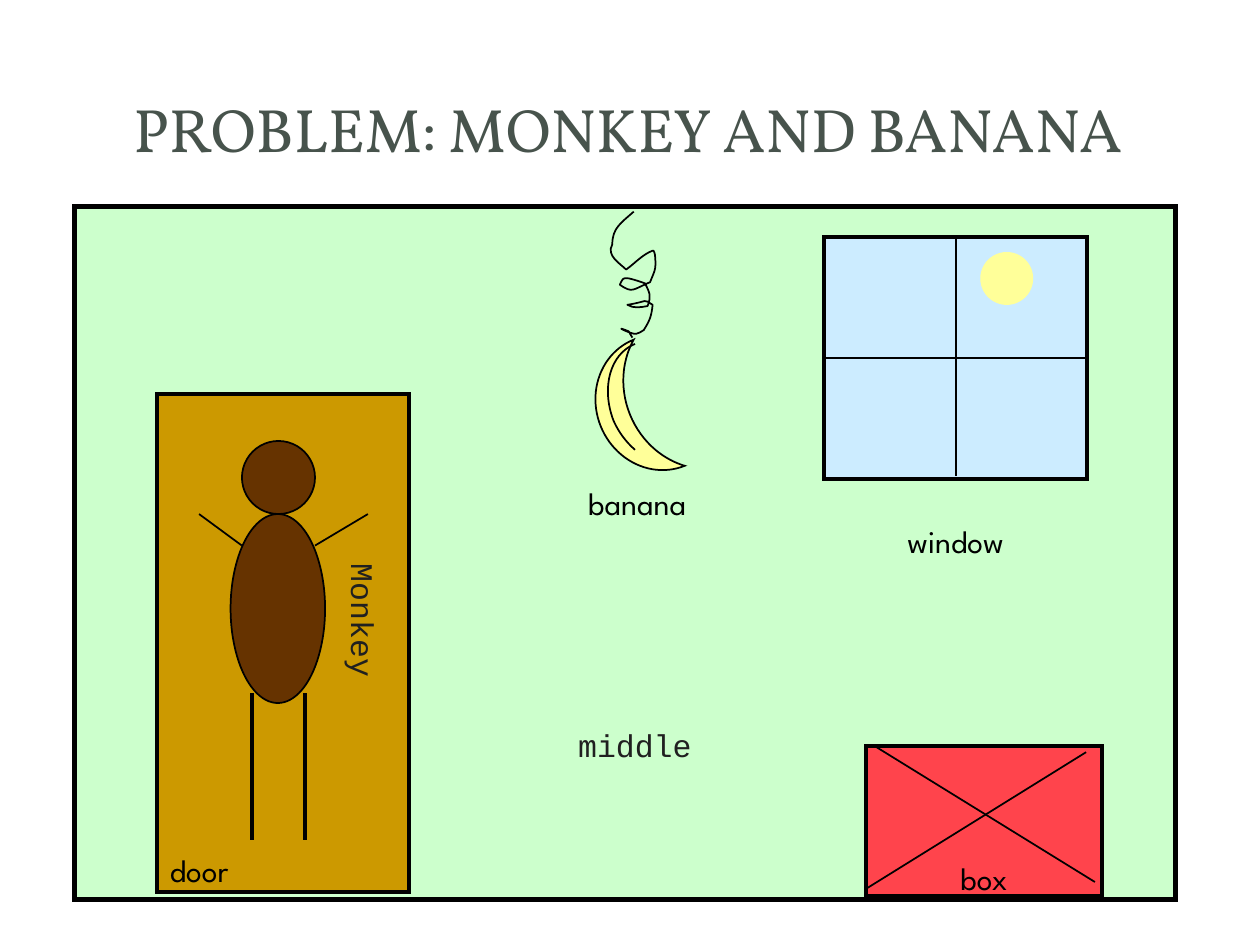
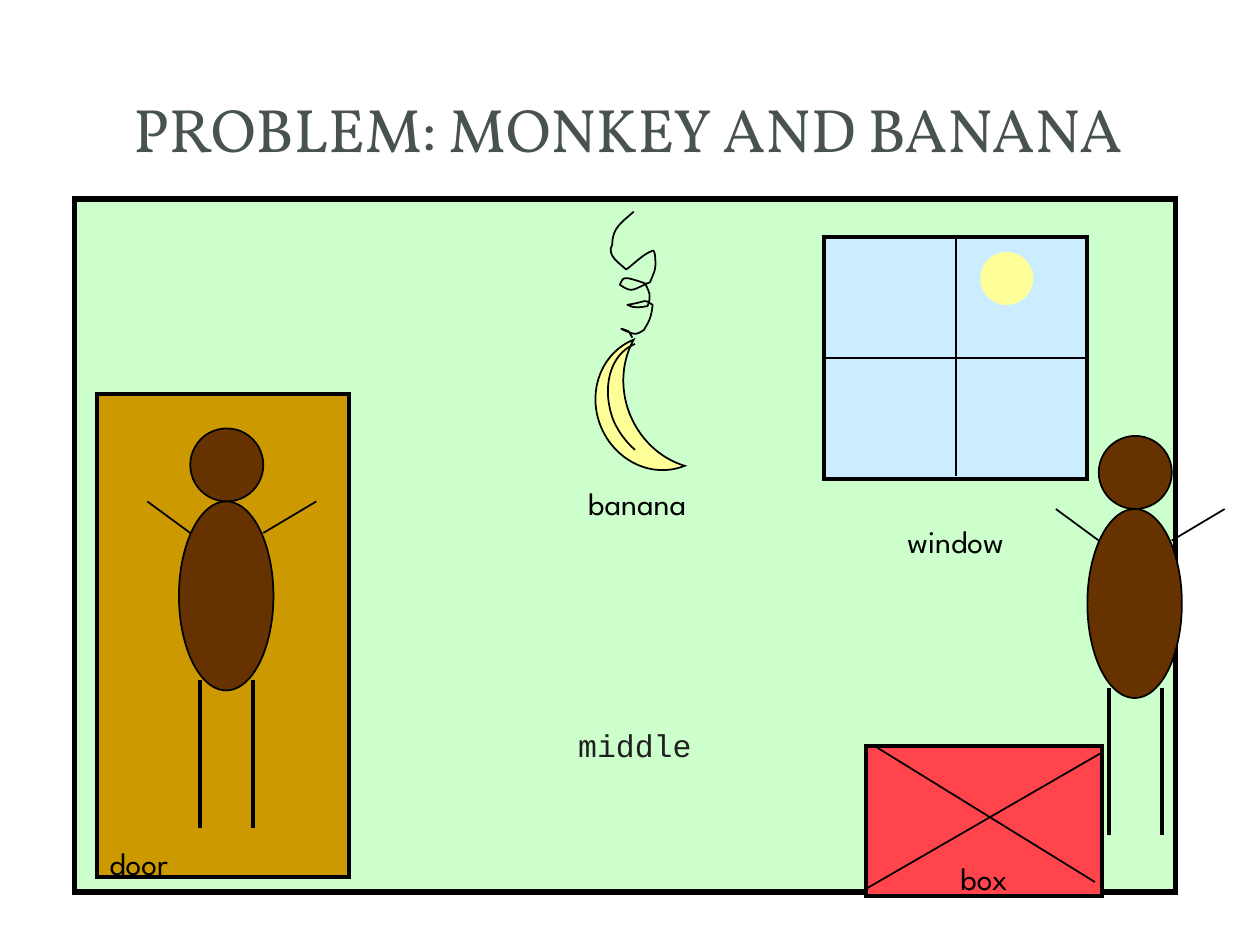
from collections import namedtuple

from lxml import etree
from pptx import Presentation
from pptx.dml.color import RGBColor
from pptx.enum import shapes, text
from pptx.oxml import ns
from pptx.util import Inches, Pt

Box = namedtuple("Box", "left top width height")
Shape = shapes.MSO_SHAPE
Align = text.PP_ALIGN
Anchor = text.MSO_ANCHOR


class Theme:
    title = "47534C"
    ink = "000000"
    soft_ink = "202020"
    paper = "FFFFFF"
    wall = "CCFFCC"
    sky = "CCECFF"
    yellow = "FFFF99"
    crate = "FF444C"
    wood = "CC9900"
    fur = "663300"
    title_font = "Vollkorn"
    label_font = "League Spartan"
    code_font = "Courier New"
    title_size = 35
    label_size = 18
    thin, medium, thick = 1, 2.25, 3


LABEL_LINE = 0.3

STRING_START = (0.46, 0)
STRING_CURVES = [
    (0.36, 0.09, 0.29, 0.13, 0.29, 0.26),
    (0.24, 0.35, 0.35, 0.41, 0.40, 0.46),
    (0.47, 0.41, 0.53, 0.34, 0.61, 0.31),
    (0.62, 0.30, 0.63, 0.34, 0.63, 0.36),
    (0.64, 0.47, 0.62, 0.48, 0.59, 0.56),
    (0.45, 0.62, 0.45, 0.65, 0.35, 0.58),
    (0.37, 0.54, 0.37, 0.52, 0.42, 0.53),
    (0.47, 0.54, 0.55, 0.57, 0.55, 0.57),
    (0.59, 0.65, 0.60, 0.67, 0.57, 0.75),
    (0.51, 0.76, 0.46, 0.77, 0.41, 0.74),
    (0.59, 0.71, 0.53, 0.69, 0.61, 0.74),
    (0.60, 0.83, 0.59, 0.86, 0.54, 0.94),
    (0.52, 0.95, 0.50, 0.97, 0.48, 0.97),
    (0.45, 0.98, 0.27, 0.89, 0.42, 0.95),
    (0.43, 0.97, 0.45, 1.00, 0.45, 1.00),
]
RIDGE_START = (0.47, 1.05)
RIDGE_CURVES = [
    (0.27, 1.13, 0.20, 1.40, 0.30, 1.66),
    (0.34, 1.75, 0.40, 1.83, 0.47, 1.89),
]


def color(value):
    return RGBColor.from_string(value)


def inside(box, left, top, width, height):
    return Box(box.left + left, box.top + top, width, height)


def add_figure(canvas, kind, box, fill, weight=None):
    figure = canvas.add_shape(kind, *map(Inches, box))
    figure.shadow.inherit = False
    figure.fill.solid()
    figure.fill.fore_color.rgb = color(fill)
    if weight:
        figure.line.color.rgb = color(Theme.ink)
        figure.line.width = Pt(weight)
        outline = figure._element.spPr.find(ns.qn("a:ln"))
        etree.SubElement(outline, ns.qn("a:miter"), lim="800000")
    else:
        figure.line.fill.background()
    return figure


def add_line(canvas, box, start, end, weight=Theme.thin):
    points = [box.left + start[0], box.top + start[1],
              box.left + end[0], box.top + end[1]]
    line = canvas.add_connector(shapes.MSO_CONNECTOR.STRAIGHT, *map(Inches, points))
    line.line.color.rgb = color(Theme.ink)
    line.line.width = Pt(weight)
    etree.SubElement(line._element.spPr, ns.qn("a:effectLst"))
    return line


def add_curve(canvas, box, start, curves):
    def place(x, y):
        return Inches(box.left + x), Inches(box.top + y)

    builder = canvas.build_freeform(*place(*start), scale=1.0)
    builder.add_line_segments([place(*bend[4:]) for bend in curves], close=False)
    curve = builder.convert_to_shape()
    segments = list(curve._element.iter(ns.qn("a:lnTo")))
    for segment, bend in zip(segments, curves):
        segment.tag = ns.qn("a:cubicBezTo")
        for index, control in enumerate((bend[:2], bend[2:4])):
            x, y = place(*control)
            point = etree.Element(ns.qn("a:pt"), x=str(x - curve.left), y=str(y - curve.top))
            segment.insert(index, point)
    curve.shadow.inherit = False
    curve.fill.background()
    curve.line.color.rgb = color(Theme.ink)
    curve.line.width = Pt(Theme.thin)


def write(frame, words, font=Theme.label_font, size=Theme.label_size,
          ink=Theme.ink, align=Align.LEFT, anchor=Anchor.TOP, wrap=True):
    frame.word_wrap = wrap
    frame.vertical_anchor = anchor
    para = frame.paragraphs[0]
    para.text = words
    para.alignment = align
    para.font.name = font
    para.font.size = Pt(size)
    para.font.color.rgb = color(ink)


def add_text(canvas, box, words, **style):
    label = canvas.add_textbox(*map(Inches, box))
    write(label.text_frame, words, **style)
    return label


def label_below_middle(figure, box, words, lines, align):
    frame = figure.text_frame
    write(frame, words, align=align)
    frame.margin_top = Inches(box.height / 2 + lines * LABEL_LINE)
    frame.margin_bottom = 0


def draw_backdrop(page):
    card = add_figure(page.shapes, Shape.ROUNDED_RECTANGLE,
                      Box(0.1, 0.11, 9.8, 7.29), Theme.paper)
    card.adjustments[0] = 0.02
    band = add_figure(page.shapes, Shape.RECTANGLE, Box(0.3, 0.3, 9.4, 1.45), Theme.paper)
    tint = next(band._element.spPr.iter(ns.qn("a:srgbClr")))
    etree.SubElement(tint, ns.qn("a:alpha"), val="83000")
    add_figure(page.shapes, Shape.RECTANGLE, Box(0.41, 0.41, 9.17, 1.22), Theme.paper)


def draw_window(page, box):
    group = page.shapes.add_group_shape().shapes
    pane = add_figure(group, Shape.RECTANGLE, box, Theme.sky, Theme.medium)
    add_figure(group, Shape.OVAL, inside(box, 1.24, 0.12, 0.42, 0.42), Theme.yellow)
    add_line(group, box, (1.05, -0.01), (1.05, 1.9))
    middle = box.height / 2
    bar = add_line(group, box, (0, middle), (box.width, middle))
    bar.begin_connect(pane, 1)
    bar.end_connect(pane, 3)
    add_text(page.shapes, inside(box, 0.21, 2.21, 1.67, 0.4), "window", align=Align.CENTER)


def draw_crate(page, box, brace_end):
    group = page.shapes.add_group_shape().shapes
    crate = add_figure(group, Shape.RECTANGLE, box, Theme.crate, Theme.medium)
    label_below_middle(crate, box, "box", 1, Align.CENTER)
    add_line(group, box, (0.07, 0), (1.82, 1.08))
    add_line(group, box, (0.01, 1.13), (brace_end, 0.05))


def draw_door(page, box):
    door = add_figure(page.shapes, Shape.RECTANGLE, box, Theme.wood, Theme.medium)
    label_below_middle(door, box, "door", 5.5, Align.LEFT)


def draw_monkey(page, left, top):
    box = Box(left, top, 1.34, 3.17)
    group = page.shapes.add_group_shape().shapes
    for part in ((0.34, 0, 0.58, 0.58), (0.25, 0.58, 0.75, 1.5)):
        add_figure(group, Shape.OVAL, inside(box, *part), Theme.fur, Theme.thin)
    for leg in (0.42, 0.84):
        add_line(group, box, (leg, 2), (leg, box.height), Theme.medium)
    for shoulder, hand in ((0.92, box.width), (0.34, 0)):
        add_line(group, box, (shoulder, 0.83), (hand, 0.58))


def draw_banana(page, box):
    group = page.shapes.add_group_shape().shapes
    add_curve(group, box, STRING_START, STRING_CURVES)
    fruit = add_figure(group, Shape.MOON, inside(box, 0.18, 1.07, 0.5, 1.08),
                       Theme.yellow, Theme.thin)
    fruit.rotation = 338
    add_curve(group, box, RIDGE_START, RIDGE_CURVES)
    add_text(group, inside(box, 0, 2.11, box.width, 0.71), "banana")


def draw_room(deck, room_top, door, brace_end, monkeys):
    page = deck.slides.add_slide(deck.slide_layouts[6])
    draw_backdrop(page)
    add_figure(page.shapes, Shape.RECTANGLE, Box(0.59, room_top, 8.74, 5.5),
               Theme.wall, Theme.thick)
    add_text(page.shapes, Box(0.47, 0.45, 9.03, 1.14), "PROBLEM: MONKEY AND BANANA",
             font=Theme.title_font, size=Theme.title_size, ink=Theme.title,
             align=Align.CENTER, anchor=Anchor.MIDDLE)
    draw_window(page, Box(6.54, 1.88, 2.09, 1.92))
    draw_crate(page, Box(6.87, 5.92, 1.88, 1.19), brace_end)
    draw_door(page, door)
    add_text(page.shapes, Box(4.49, 5.71, 1.1, 0.37), "middle",
             font=Theme.code_font, ink=Theme.soft_ink, wrap=False)
    draw_banana(page, Box(4.57, 1.68, 1.32, 2.82))
    for left, top in monkeys:
        draw_monkey(page, left, top)
    return page


def main():
    deck = Presentation()
    deck.slide_width, deck.slide_height = Inches(10), Inches(7.5)
    first = draw_room(deck, 1.64, Box(1.25, 3.13, 2, 3.95), 1.75, [(1.58, 3.5)])
    name = add_text(first.shapes, Box(2.3, 4.76, 1.17, 0.4), "Monkey",
                    font=Theme.code_font, ink=Theme.soft_ink)
    name.rotation = 90
    draw_room(deck, 1.58, Box(0.77, 3.13, 2, 3.83), 1.88, [(1.17, 3.4), (8.38, 3.46)])
    deck.save("out.pptx")


if __name__ == "__main__":
    main()
